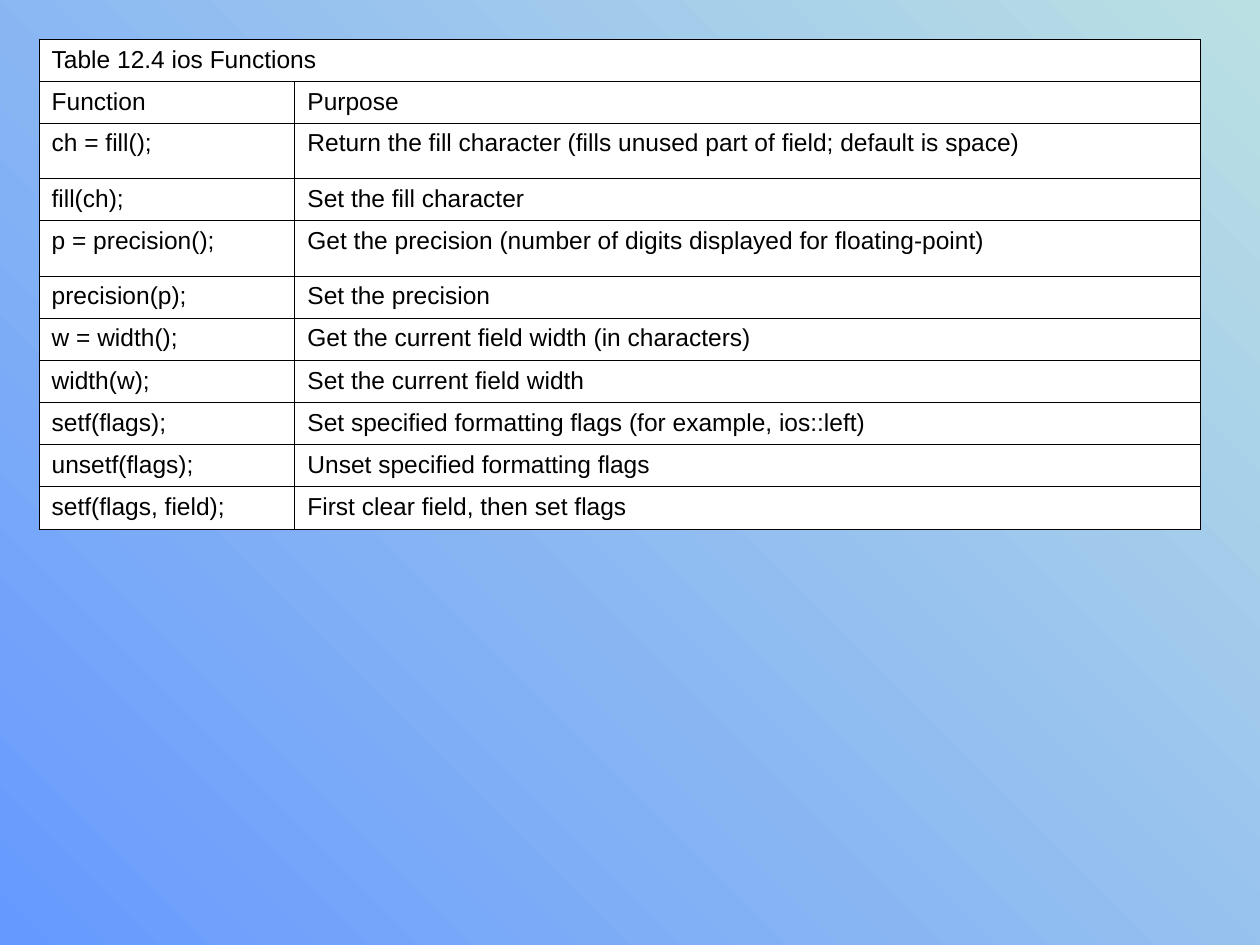
from lxml.etree import SubElement
from pptx import Presentation
from pptx.dml.color import RGBColor
from pptx.enum.text import MSO_ANCHOR as Anchor
from pptx.oxml.ns import qn
from pptx.util import Inches, Pt

BLUE = RGBColor(0x66, 0x99, 0xFF)
AQUA = RGBColor(0xBB, 0xE0, 0xE3)
WHITE = RGBColor(0xFF, 0xFF, 0xFF)
BLACK = RGBColor(0x00, 0x00, 0x00)

CAPTION = "Table 12.4 ios Functions"
HEADINGS = ("Function", "Purpose")
FUNCTIONS = [
    ("ch = fill();", "Return the fill character (fills unused part of field; default is space)"),
    ("fill(ch);", "Set the fill character"),
    ("p = precision();", "Get the precision (number of digits displayed for floating-point)"),
    ("precision(p);", "Set the precision"),
    ("w = width();", "Get the current field width (in characters)"),
    ("width(w);", "Set the current field width"),
    ("setf(flags);", "Set specified formatting flags (for example, ios::left)"),
    ("unsetf(flags);", "Unset specified formatting flags"),
    ("setf(flags, field);", "First clear field, then set flags"),
]
TALL_ROWS = (2, 4)
TALL_HEIGHT = Inches(0.44)
FUNCTION_WIDTH = Inches(2.03)


def paint_background(slide):
    fill = slide.background.fill
    fill.gradient()
    fill.gradient_angle = 45
    for stop, color in zip(fill.gradient_stops, (BLUE, AQUA)):
        stop.color.rgb = color


def add_borders(cell):
    properties = cell._tc.get_or_add_tcPr()
    for side in ("a:lnL", "a:lnR", "a:lnT", "a:lnB"):
        line = SubElement(properties, qn(side), w=str(Pt(0.45)))
        SubElement(SubElement(line, qn("a:solidFill")), qn("a:srgbClr"), val=str(BLACK))


def format_cell(cell, anchor):
    add_borders(cell)
    cell.fill.solid()
    cell.fill.fore_color.rgb = WHITE
    cell.vertical_anchor = anchor


def write_cell(cell, text):
    run = cell.text_frame.paragraphs[0].add_run()
    run.text = text
    run.font.name = "Arial"
    run.font.size = Pt(14)
    run.font.bold = False
    run.font.color.rgb = BLACK


def add_function_table(slide, left, top, width, height):
    rows = [(CAPTION,), HEADINGS, *FUNCTIONS]
    table = slide.shapes.add_table(len(rows), 2, left, top, width, height).table
    table.first_row = False
    table.horz_banding = False
    table.columns[0].width = FUNCTION_WIDTH
    table.columns[1].width = width - FUNCTION_WIDTH

    tall_total = len(TALL_ROWS) * TALL_HEIGHT
    row_height = (height - tall_total) // (len(rows) - len(TALL_ROWS))
    table.cell(0, 0).merge(table.cell(0, 1))
    for index, texts in enumerate(rows):
        row = table.rows[index]
        row.height = TALL_HEIGHT if index in TALL_ROWS else row_height
        for cell in row.cells:
            format_cell(cell, Anchor.MIDDLE if index < 2 else Anchor.TOP)
        for cell, text in zip(row.cells, texts):
            write_cell(cell, text)


def main():
    presentation = Presentation()
    presentation.slide_width = Inches(10)
    presentation.slide_height = Inches(7.5)
    slide = presentation.slides.add_slide(presentation.slide_layouts[6])
    paint_background(slide)
    add_function_table(slide, Inches(0.31), Inches(0.31), Inches(9.22), Inches(3.89))
    presentation.save("out.pptx")


if __name__ == "__main__":
    main()
